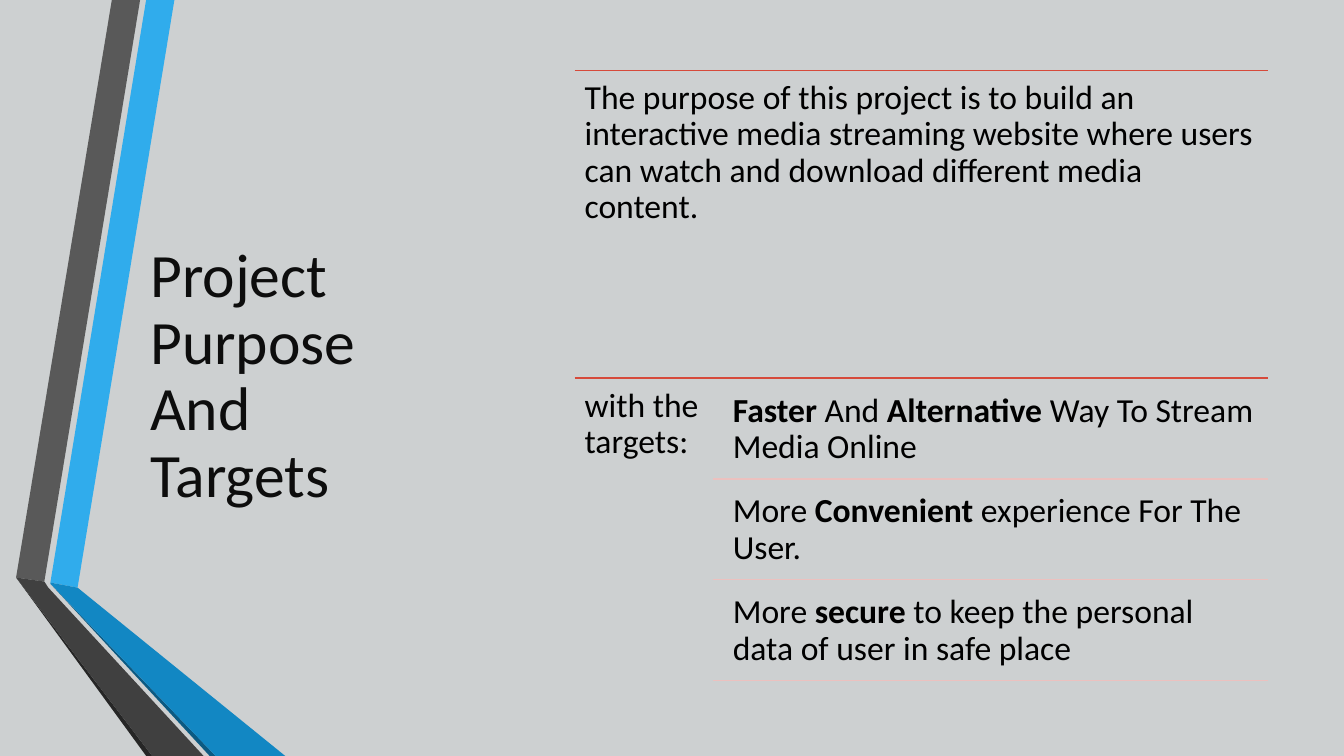
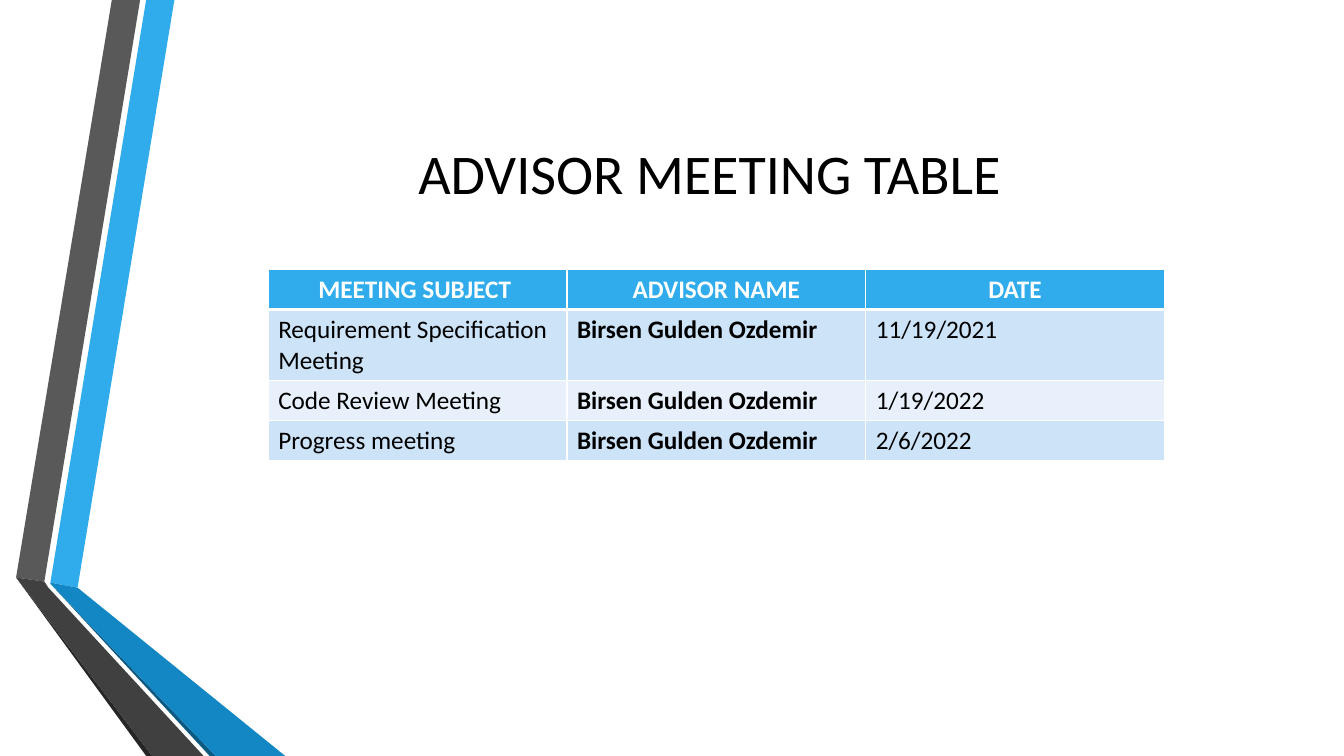
"""Build a project purpose slide and an advisor meeting slide."""
from dataclasses import dataclass
from typing import NamedTuple

import pptx
import pptx.dml.color
import pptx.enum.shapes
import pptx.enum.text
import pptx.oxml
import pptx.oxml.ns
import pptx.presentation
import pptx.shapes.autoshape
import pptx.slide
import pptx.table
import pptx.text.text
import pptx.util
from pptx.util import Inches

Align = pptx.enum.text.PP_ALIGN
Anchor = pptx.enum.text.MSO_ANCHOR


@dataclass(frozen=True)
class Theme:
    font: str = "Calibri"
    black: str = "000000"
    white: str = "FFFFFF"
    title_ink: str = "0D0D0D"
    grey_background: str = "CDD0D1"
    blue: str = "30ACEC"
    mid_blue: str = "1287C3"
    deep_blue: str = "0C5A82"
    light_grey: str = "595959"
    mid_grey: str = "404040"
    deep_grey: str = "262626"
    red_rule: str = "D64A3B"
    pink_rule: str = "ECC1BF"
    bands: tuple[str, str] = ("CDE3F8", "E8F1FB")
    side_title_size: int = 44
    title_size: int = 40
    body_size: int = 24
    table_size: int = 18
    rule_width: float = 1.25
    border_width: int = 1
    header_border_width: int = 3


THEME = Theme()


class Box(NamedTuple):
    left: float
    top: float
    width: float
    height: float

    def lengths(self) -> list[pptx.util.Length]:
        return [Inches(value) for value in self]


class Ribbon(NamedTuple):
    color: str
    points: tuple[tuple[float, float], ...]


class Rule(NamedTuple):
    left: float
    top: float
    color: str


class Span(NamedTuple):
    text: str
    bold: bool = False


class Passage(NamedTuple):
    box: Box
    spans: tuple[Span, ...]


class Meeting(NamedTuple):
    subject: str
    advisor: str
    date: str


RIBBONS = (
    Ribbon(THEME.blue, ((0.5, 5.78), (0.77, 5.83), (1.73, 0), (1.45, 0))),
    Ribbon(THEME.light_grey, ((1.39, 0), (1.11, 0), (0.16, 5.73), (0.44, 5.77))),
    Ribbon(THEME.deep_grey, ((0.16, 5.73), (1.45, 7.5), (1.51, 7.5))),
    Ribbon(THEME.deep_blue, ((0.5, 5.79), (2.08, 7.5), (2.14, 7.5))),
    Ribbon(THEME.mid_blue, ((0.5, 5.79), (2.14, 7.5), (2.83, 7.5), (0.77, 5.83), (0.5, 5.78))),
    Ribbon(THEME.mid_grey, ((2.02, 7.5), (0.48, 5.83), (0.44, 5.77), (0.16, 5.73), (1.51, 7.5))),
)

CONTENT_LEFT, CONTENT_RIGHT = 5.7, 12.58
CONTENT_TOP, SECTION_HEIGHT = 0.7, 3.05
TARGETS_TOP = CONTENT_TOP + SECTION_HEIGHT
TARGET_RULE_LEFT, TARGET_LEFT = 7.07, 7.17
TARGET_GAP, TARGET_HEIGHT = 0.05, 0.95

PURPOSE = (
    "The purpose of this project is to build an interactive media streaming website "
    "where users can watch and download different media content."
)
TARGETS = (
    (Span("Faster", True), Span(" And "), Span("Alternative", True),
     Span(" Way To Stream Media Online")),
    (Span("More "), Span("Convenient ", True), Span("experience For The User.")),
    (Span("More "), Span("secure", True),
     Span(" to keep the personal data of user in safe place")),
)

HEADER = Meeting("MEETING SUBJECT ", "ADVISOR NAME", "DATE")
ADVISOR = "Birsen Gulden Ozdemir"
MEETINGS = (
    Meeting("Requirement Specification Meeting", ADVISOR, "11/19/2021"),
    Meeting("Code Review Meeting", ADVISOR, "1/19/2022"),
    Meeting("Progress meeting", ADVISOR, "2/6/2022"),
)
TABLE_BOX = Box(2.66, 2.67, 8.89, 1.9)
ROW_HEIGHTS = (0.4, 0.7, 0.4, 0.4)


def rgb(color: str) -> pptx.dml.color.RGBColor:
    """Turn a hex colour into an RGB value."""
    return pptx.dml.color.RGBColor.from_string(color)


def write(frame: pptx.text.text.TextFrame, spans: tuple[Span, ...], size: int,
          color: str = THEME.black, align: Align = Align.LEFT) -> pptx.text.text._Paragraph:
    """Write one paragraph and return it."""
    frame.word_wrap = True
    paragraph = frame.paragraphs[0]
    paragraph.alignment = align
    font = paragraph.font
    font.name, font.size = THEME.font, pptx.util.Pt(size)
    font.color.rgb = rgb(color)
    if len({span.bold for span in spans}) == 1:
        font.bold = spans[0].bold
    for span in spans:
        run = paragraph.add_run()
        run.text = span.text
        if len(spans) > 1:
            run.font.bold = span.bold
    return paragraph


def add_themed_slide(presentation: pptx.presentation.Presentation,
                     background: str) -> pptx.slide.Slide:
    """Add a blank slide with its background and ribbons."""
    slide = presentation.slides.add_slide(presentation.slide_layouts[6])
    slide.background.fill.solid()
    slide.background.fill.fore_color.rgb = rgb(background)
    group = slide.shapes.add_group_shape()
    for ribbon in RIBBONS:
        start, *rest = [(Inches(x), Inches(y)) for x, y in ribbon.points]
        builder = group.shapes.build_freeform(*start)
        builder.add_line_segments(rest, close=True)
        shape = builder.convert_to_shape()
        shape.shadow.inherit = False
        shape.fill.solid()
        shape.fill.fore_color.rgb = rgb(ribbon.color)
        shape.line.fill.background()
    return slide


def add_rule(slide: pptx.slide.Slide, rule: Rule) -> None:
    """Draw a horizontal rule to the right edge of the content."""
    connector = slide.shapes.add_connector(
        pptx.enum.shapes.MSO_CONNECTOR.STRAIGHT,
        Inches(rule.left), Inches(rule.top), Inches(CONTENT_RIGHT), Inches(rule.top))
    connector.line.color.rgb = rgb(rule.color)
    connector.line.width = pptx.util.Pt(THEME.rule_width)
    properties = connector._element.spPr
    properties.append(pptx.oxml.parse_xml(
        f"<a:effectLst {pptx.oxml.ns.nsdecls('a')}/>"))


def add_passage(slide: pptx.slide.Slide, passage: Passage) -> None:
    """Add a body passage with even insets."""
    frame = slide.shapes.add_textbox(*passage.box.lengths()).text_frame
    frame.margin_left = frame.margin_right = Inches(0.1)
    frame.margin_top = frame.margin_bottom = Inches(0.1)
    write(frame, passage.spans, THEME.body_size).line_spacing = 0.9


def add_purpose_slide(presentation: pptx.presentation.Presentation) -> None:
    """Add the slide with the purpose and its targets."""
    slide = add_themed_slide(presentation, THEME.grey_background)
    title = slide.shapes.add_shape(
        pptx.enum.shapes.MSO_SHAPE.OVAL, *Box(0.92, 0.7, 3.23, 6.09).lengths())
    title.shadow.inherit = False
    title.fill.background()
    title.line.fill.background()
    title.text_frame.vertical_anchor = Anchor.MIDDLE
    paragraph = write(title.text_frame, (Span("Project Purpose And Targets"),),
                      THEME.side_title_size, THEME.title_ink)
    paragraph.line_spacing = 0.9
    paragraph.space_after = pptx.util.Pt(6)

    rules = [Rule(CONTENT_LEFT, top, THEME.red_rule) for top in (CONTENT_TOP, TARGETS_TOP)]
    passages = [
        Passage(Box(CONTENT_LEFT, CONTENT_TOP, CONTENT_RIGHT - CONTENT_LEFT, SECTION_HEIGHT),
                (Span(PURPOSE),)),
        Passage(Box(CONTENT_LEFT, TARGETS_TOP, 1.38, SECTION_HEIGHT),
                (Span("with the targets:"),)),
    ]
    for index, spans in enumerate(TARGETS):
        top = TARGETS_TOP + TARGET_GAP + index * (TARGET_HEIGHT + TARGET_GAP)
        passages.append(Passage(Box(TARGET_LEFT, top, 5.4, TARGET_HEIGHT), spans))
        rules.append(Rule(TARGET_RULE_LEFT, top + TARGET_HEIGHT, THEME.pink_rule))
    for rule in rules:
        add_rule(slide, rule)
    for passage in passages:
        add_passage(slide, passage)


def style_cell(cell: pptx.table._Cell, fill: str, top: int, bottom: int) -> None:
    """Give a cell white borders and a solid fill."""
    properties = cell._tc.get_or_add_tcPr()
    side = THEME.border_width
    for tag, width in (("lnL", side), ("lnR", side), ("lnT", top), ("lnB", bottom)):
        properties.append(pptx.oxml.parse_xml(
            f'<a:{tag} {pptx.oxml.ns.nsdecls("a")} w="{pptx.util.Pt(width)}">'
            f'<a:solidFill><a:srgbClr val="{THEME.white}"/></a:solidFill></a:{tag}>'))
    cell.fill.solid()
    cell.fill.fore_color.rgb = rgb(fill)


def add_meeting_slide(presentation: pptx.presentation.Presentation) -> None:
    """Add the slide with the advisor meeting table."""
    slide = add_themed_slide(presentation, THEME.white)
    frame = slide.shapes.add_textbox(*Box(1.62, 0.75, 10.96, 1.92).lengths()).text_frame
    frame.vertical_anchor = Anchor.MIDDLE
    write(frame, (Span("ADVISOR MEETING TABLE "),), THEME.title_size, align=Align.CENTER)

    rows = (HEADER, *MEETINGS)
    table = slide.shapes.add_table(len(rows), len(HEADER), *TABLE_BOX.lengths()).table
    for column in table.columns:
        column.width = Inches(TABLE_BOX.width / len(HEADER))
    for row_index, (meeting, height) in enumerate(zip(rows, ROW_HEIGHTS)):
        table.rows[row_index].height = Inches(height)
        is_header = row_index == 0
        fill = THEME.blue if is_header else THEME.bands[(row_index - 1) % 2]
        top = THEME.header_border_width if row_index == 1 else THEME.border_width
        bottom = THEME.header_border_width if is_header else THEME.border_width
        for column_index, text in enumerate(meeting):
            cell = table.cell(row_index, column_index)
            bold = is_header or column_index == HEADER.index("ADVISOR NAME")
            write(cell.text_frame, (Span(text, bold),), THEME.table_size,
                  THEME.white if is_header else THEME.black,
                  Align.CENTER if is_header else Align.LEFT)
            style_cell(cell, fill, top, bottom)


def main() -> None:
    """Build and save the presentation."""
    presentation = pptx.Presentation()
    presentation.slide_width, presentation.slide_height = Inches(13.33), Inches(7.5)
    add_purpose_slide(presentation)
    add_meeting_slide(presentation)
    presentation.save("out.pptx")


if __name__ == "__main__":
    main()
